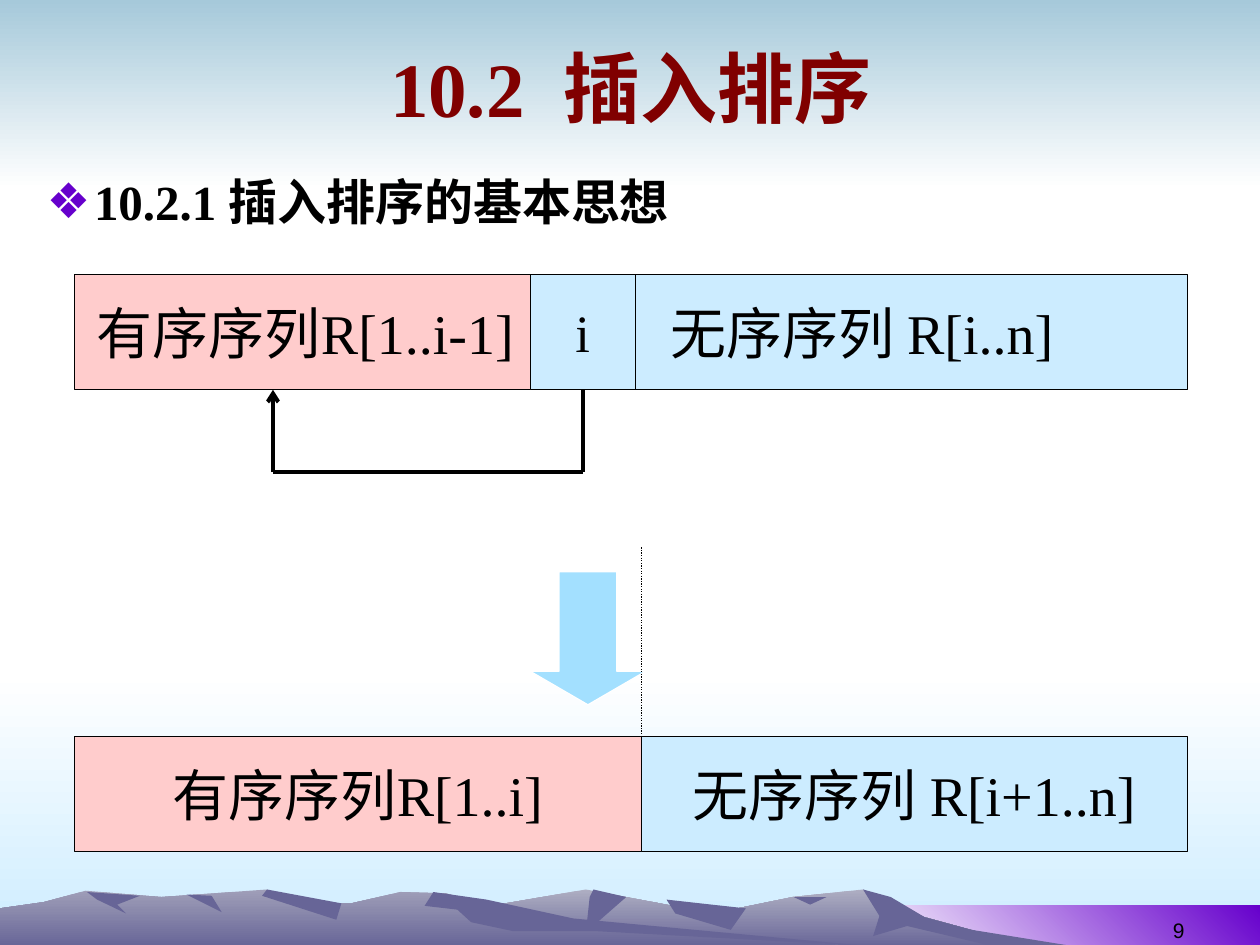
from dataclasses import dataclass
from lxml.etree import SubElement
from pptx import Presentation
from pptx.dml.color import RGBColor
from pptx.enum.dml import MSO_LINE
from pptx.enum.shapes import MSO_CONNECTOR, MSO_SHAPE
from pptx.enum.text import MSO_ANCHOR, MSO_AUTO_SIZE, PP_ALIGN
from pptx.oxml.ns import qn
from pptx.util import Pt


@dataclass(frozen=True)
class Theme:
    face: str = "Times New Roman"
    sans: str = "Arial"
    ink: str = "000000"
    white: str = "FFFFFF"
    head: str = "800000"
    mark: str = "6600CC"
    sky: str = "A6C9DA"
    pink: str = "FFCCCC"
    blue: str = "CCECFF"
    arrow: str = "A3E0FF"
    rock: str = "676597"
    front: str = "9F9EB8"
    back: str = "AEAEC2"
    title: int = 44
    list: int = 28
    cell: int = 32
    key: int = 30
    page: int = 12
    thin: float = 0.75
    thick: float = 2.25


T = Theme()
UNIT = Pt(0.72)  # grid of the mountain outlines

# Mountain outlines in grid units, from back to front: (fill, points)
HILLS = [
    (T.back, [(258, 52), (355, 25), (465, 6), (497, 12), (566, 25), (629, 12), (685, 6),
              (723, 25), (821, 52)]),
    (T.rock, [(685, 6), (698, 27), (693, 43), (720, 35), (792, 52), (858, 52), (771, 38),
              (734, 28), (707, 12)]),
    (T.rock, [(471, 6), (468, 12), (465, 40), (497, 12)]),
    (T.rock, [(529, 14), (536, 25), (580, 38), (592, 21)]),
    (T.rock, [(630, 12), (643, 18), (656, 12)]),
    (T.front, [(0, 52), (0, 21), (35, 16), (68, 7), (128, 12), (212, 6), (236, 17),
               (279, 17), (318, 8), (354, 9), (432, 32), (690, 52)]),
    (T.rock, [(212, 6), (208, 11), (267, 30), (271, 17)]),
    (T.rock, [(344, 8), (337, 19), (363, 22), (374, 32), (407, 39), (472, 39), (690, 51),
              (455, 29), (386, 14)]),
    (T.rock, [(148, 10), (176, 24), (168, 11)]),
    (T.rock, [(69, 8), (77, 14), (100, 25), (93, 18), (111, 11)]),
]


def paint(shape, fill, line=None):
    shape.shadow.inherit = False
    shape.fill.solid()
    shape.fill.fore_color.rgb = RGBColor.from_string(fill)
    if line:
        shape.line.color.rgb = RGBColor.from_string(line)
        shape.line.width = Pt(T.thin)
    else:
        shape.line.fill.background()


def blend(shape, start, end, angle=270):
    shape.fill.gradient()
    shape.fill.gradient_angle = angle
    for stop, color in zip(shape.fill.gradient_stops, (start, end)):
        stop.color.rgb = RGBColor.from_string(color)


def write(shape, text, size, face=T.face, color=T.ink, bold=False,
          align=PP_ALIGN.CENTER, anchor=MSO_ANCHOR.MIDDLE, wrap=False):
    frame = shape.text_frame
    frame.auto_size = MSO_AUTO_SIZE.NONE
    frame.word_wrap = wrap
    frame.vertical_anchor = anchor
    para = frame.paragraphs[0]
    para.text = text
    para.alignment = align
    font = para.font
    font.name, font.size, font.bold = face, Pt(size), bold
    font.color.rgb = RGBColor.from_string(color)
    return para


def block(slide, kind, box, fill, line=None):
    shape = slide.shapes.add_shape(kind, *map(Pt, box))
    paint(shape, fill, line)
    return shape


def link(slide, start, end, width):
    line = slide.shapes.add_connector(MSO_CONNECTOR.STRAIGHT, *map(Pt, start + end))
    line.line.color.rgb = RGBColor.from_string(T.ink)
    line.line.width = Pt(width)
    SubElement(line._element.spPr, qn("a:effectLst"))
    return line


def scene(slide, box):
    """Sky, glow and corner bands, then the mountains along the foot."""
    x, y, w, h = box
    bands = [((x, y + 384, w, h - 384), T.white, T.blue, 270),
             ((x, y, w, 108), T.sky, T.white, 270),
             ((x + 492, y + 517.5, w - 492, 24), T.white, T.mark, 45)]
    for area, start, end, angle in bands:
        blend(block(slide, MSO_SHAPE.RECTANGLE, area, start), start, end, angle)
    for fill, points in HILLS:
        pen = slide.shapes.build_freeform(*points[0], scale=UNIT)
        pen.add_line_segments(points[1:], close=True)
        hill = pen.convert_to_shape(Pt(x), Pt(y + 504))
        paint(hill, fill)
        if fill != T.rock:
            blend(hill, fill, T.rock)


def place(slide, shape, box):
    """Put a placeholder into its box, in front of the scene."""
    shape.left, shape.top, shape.width, shape.height = map(Pt, box)
    slide.shapes._spTree.append(shape._element)


def header(slide, box):
    shape = slide.shapes.title
    place(slide, shape, box)
    write(shape, "10.2  插入排序", T.title, color=T.head, bold=True, wrap=True)


def topic(slide, box):
    shape = slide.placeholders[1]
    place(slide, shape, box)
    para = shape.text_frame.paragraphs[0]
    props = para._p.get_or_add_pPr()
    props.set("marL", str(Pt(27)))
    props.set("indent", str(-Pt(27)))
    color = SubElement(props, qn("a:buClr"))
    SubElement(color, qn("a:srgbClr")).set("val", T.mark)
    SubElement(props, qn("a:buChar")).set("char", "❖")
    write(shape, "10.2.1 插入排序的基本思想", T.list, bold=True, wrap=True,
          align=PP_ALIGN.LEFT, anchor=MSO_ANCHOR.TOP)
    para.space_before = Pt(0)


def cell(slide, box, text, fill, size=T.cell):
    shape = block(slide, MSO_SHAPE.RECTANGLE, box, fill, T.ink)
    write(shape, text, size)
    return shape


def strip(slide, box, split, done, rest):
    """Sorted part on the left, unsorted part on the right."""
    x, y, w, h = box
    cell(slide, (x, y, split, h), done, T.pink)
    cell(slide, (x + split, y, w - split, h), rest, T.blue)


def step(slide, box):
    """One insertion: the row before, the move and the row after."""
    x, y, w, h = box
    tall, split, slot = 66, 324, x + 260.5
    low = y + h - tall
    strip(slide, (x, y, w, tall), 264, "有序序列R[1..i-1]", "无序序列 R[i..n]")
    strip(slide, (x, low, w, tall), split, "有序序列R[1..i]", "无序序列 R[i+1..n]")
    down = block(slide, MSO_SHAPE.DOWN_ARROW, (slot, y + 170, 66, 76), T.arrow, T.white)
    down.adjustments[0], down.adjustments[1] = 0.5, 0.29
    guide = link(slide, (x + split, low - 108), (x + split, low), T.thin)
    guide.line.dash_style = MSO_LINE.ROUND_DOT

    # Element i and its way back into the sorted part
    item = cell(slide, (slot, y, 60, tall), "i", T.blue, T.key)
    base, turn = y + tall, y + tall + 47
    right, left = slot + 30, x + 113.5
    path = [(right, base), (right, turn), (left, turn), (left, base)]
    lines = [link(slide, a, b, T.thick) for a, b in zip(path, path[1:])]
    lines[0].begin_connect(item, 2)
    SubElement(lines[-1].line._get_or_add_ln(), qn("a:tailEnd")).set("type", "arrow")


def number(slide, box):
    shape = slide.shapes.add_textbox(*map(Pt, box))
    write(shape, "9", T.page, face=T.sans, align=PP_ALIGN.RIGHT,
          anchor=MSO_ANCHOR.BOTTOM, wrap=True)


def main():
    deck = Presentation()
    deck.slide_width, deck.slide_height = Pt(720), Pt(540)
    slide = deck.slides.add_slide(deck.slide_layouts[1])
    scene(slide, (0, 0, 720, 540))
    number(slide, (516, 506, 168, 36))
    header(slide, (36.5, 9.5, 648, 80.5))
    topic(slide, (19.5, 94.5, 680, 408))
    step(slide, (42.5, 156.75, 636, 330))
    deck.save("out.pptx")


if __name__ == "__main__":
    main()
